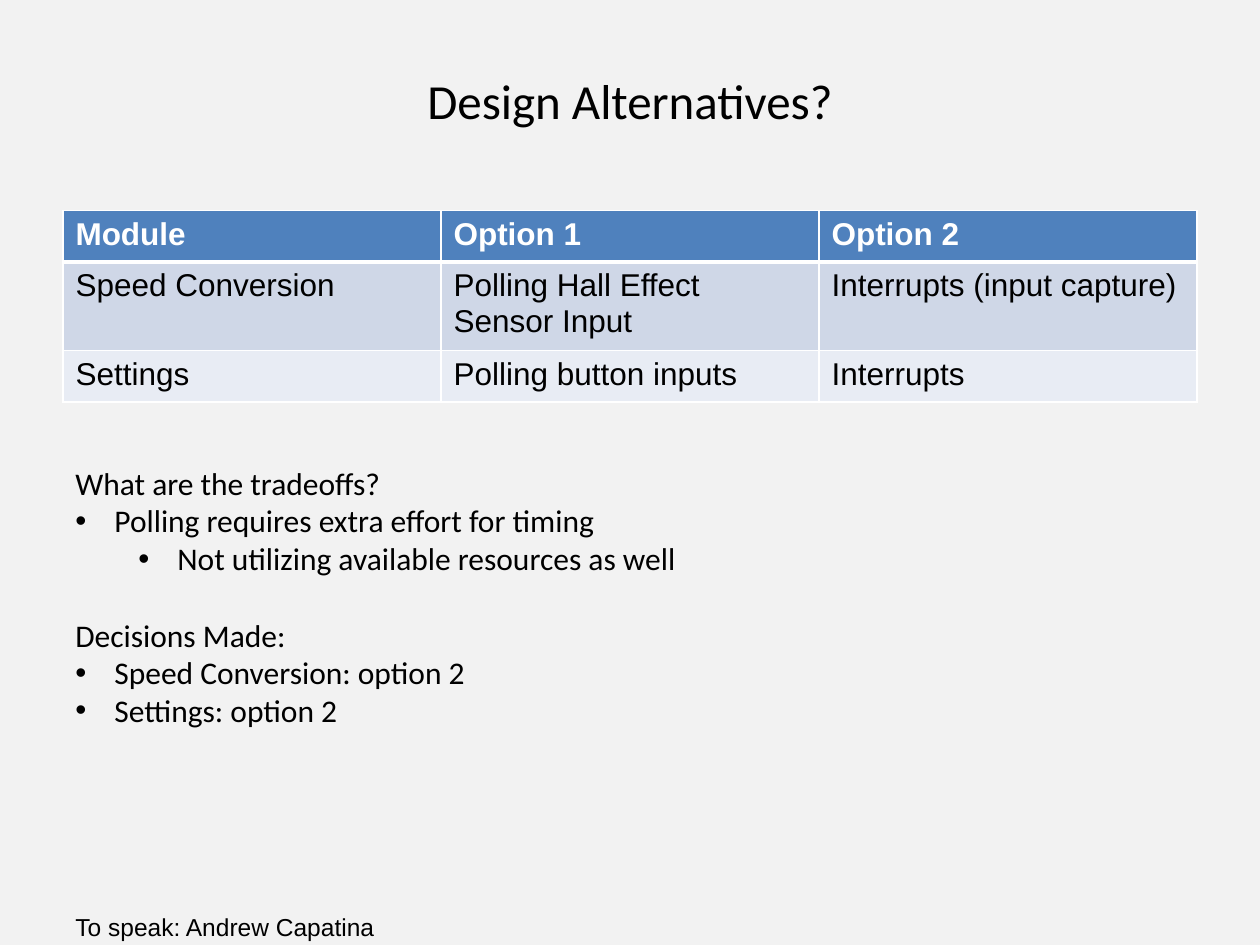
import dataclasses

import pptx
import pptx.dml.color
import pptx.enum.text
import pptx.oxml
import pptx.oxml.ns
import pptx.util
from lxml import etree

ALIGN = pptx.enum.text.PP_ALIGN
ANCHOR = pptx.enum.text.MSO_ANCHOR
WIDTH, HEIGHT = 10, 7.5
MARGIN = 0.05 * WIDTH
CONTENT = WIDTH - 2 * MARGIN


@dataclasses.dataclass(frozen=True)
class Theme:
    background: str = "F2F2F2"
    ink: str = "000000"
    white: str = "FFFFFF"
    header: str = "4F81BD"
    bands: tuple = ("CFD7E7", "E8ECF4")
    heading_font: str = "Calibri"
    table_font: str = "Arial"
    title_size: int = 28
    body_size: int = 18
    note_size: int = 14


THEME = Theme()

OPTIONS = [
    ("Module", "Option 1", "Option 2"),
    ("Speed Conversion", "Polling Hall Effect Sensor Input", "Interrupts (input capture)"),
    ("Settings", "Polling button inputs", "Interrupts"),
]

DISCUSSION = [
    ("What are the tradeoffs?", None),
    ("Polling requires extra effort for timing", 0),
    ("Not utilizing available resources as well", 1),
    ("Decisions Made:", None),
    ("Speed Conversion: option 2", 0),
    ("Settings: option 2", 0),
]


def inches(value):
    return pptx.util.Inches(value)


def rgb(color):
    return pptx.dml.color.RGBColor.from_string(color)


def write(p, text, *, size=THEME.body_size, font=THEME.heading_font,
          color=THEME.ink, bold=False, align=ALIGN.LEFT, before=0):
    p.alignment = align
    p.space_before = pptx.util.Pt(before)
    r = p.add_run()
    r.text = text
    r.font.size = pptx.util.Pt(size)
    r.font.name = font
    r.font.bold = bold
    r.font.color.rgb = rgb(color)


def add_box(slide, left, top, width, height, inset=0.05, anchor=ANCHOR.TOP):
    tf = slide.shapes.add_textbox(*map(inches, (left, top, width, height))).text_frame
    tf.word_wrap = True
    tf.vertical_anchor = anchor
    tf.margin_top = inches(inset)
    return tf


def add_bullet(p, level):
    p.level = level
    pPr = p._p.get_or_add_pPr()
    pPr.set("marL", str(inches(0.31 + 0.5 * level)))
    pPr.set("indent", str(inches(-0.31)))
    font = etree.SubElement(pPr, pptx.oxml.ns.qn("a:buFont"))
    font.set("typeface", THEME.table_font)
    etree.SubElement(pPr, pptx.oxml.ns.qn("a:buChar")).set("char", "•")


def add_border(cell, side, points):
    cell._tc.get_or_add_tcPr().append(pptx.oxml.parse_xml(
        f'<a:ln{side} {pptx.oxml.ns.nsdecls("a")} w="{pptx.util.Pt(points)}">'
        f'<a:solidFill><a:srgbClr val="{THEME.white}"/></a:solidFill></a:ln{side}>'))


def add_options_table(slide, rows, top, row_height):
    count = len(rows)
    frame = slide.shapes.add_table(
        count, len(rows[0]), inches(MARGIN), inches(top),
        inches(CONTENT), inches(row_height * count))
    for i, row in enumerate(rows):
        head = i == 0
        fill = THEME.header if head else THEME.bands[(i - 1) % 2]
        for j, text in enumerate(row):
            cell = frame.table.cell(i, j)
            write(cell.text_frame.paragraphs[0], text, font=THEME.table_font,
                  color=THEME.white if head else THEME.ink, bold=head)
            for side, points in (("L", 1), ("R", 1), ("T", 3 if i == 1 else 1), ("B", 3 if head else 1)):
                add_border(cell, side, points)
            cell.fill.solid()
            cell.fill.fore_color.rgb = rgb(fill)


def add_discussion(slide, lines, top, height):
    tf = add_box(slide, MARGIN, top, CONTENT, height, inset=0.35)
    for i, (text, level) in enumerate(lines):
        p = tf.add_paragraph() if i else tf.paragraphs[0]
        write(p, text, before=22 if i and level is None else 0)
        if level is not None:
            add_bullet(p, level)


def main():
    prs = pptx.Presentation()
    prs.slide_width, prs.slide_height = inches(WIDTH), inches(HEIGHT)
    slide = prs.slides.add_slide(prs.slide_layouts[6])
    slide.background.fill.solid()
    slide.background.fill.fore_color.rgb = rgb(THEME.background)

    title = add_box(slide, MARGIN, 0.17, CONTENT, HEIGHT / 6, anchor=ANCHOR.MIDDLE)
    write(title.paragraphs[0], "Design Alternatives?", size=THEME.title_size, align=ALIGN.CENTER)
    add_options_table(slide, OPTIONS, top=1.67, row_height=0.41)
    add_discussion(slide, DISCUSSION, top=3.33, height=3.13)
    speaker = add_box(slide, MARGIN, HEIGHT - 0.36, 3.29, 0.36, inset=0.1)
    write(speaker.paragraphs[0], "To speak: Andrew Capatina", size=THEME.note_size, font=THEME.table_font)

    prs.save("out.pptx")


if __name__ == "__main__":
    main()
